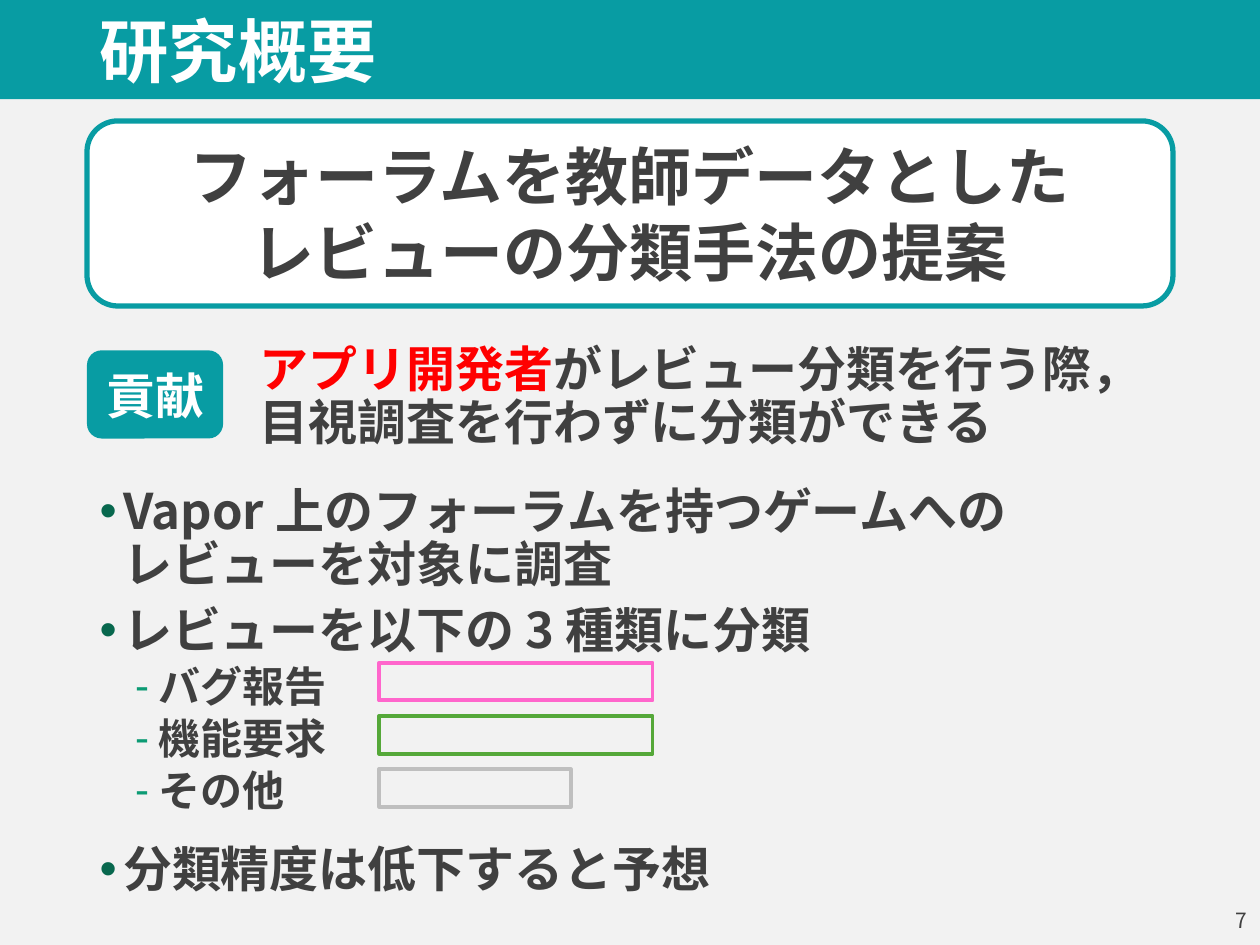
from lxml.etree import SubElement
from pptx import Presentation
from pptx.dml.color import RGBColor
from pptx.enum.shapes import MSO_SHAPE
from pptx.enum.text import MSO_ANCHOR, PP_ALIGN
from pptx.oxml.ns import qn
from pptx.util import Pt

TEAL = RGBColor(0x08, 0x9C, 0xA3)
WHITE = RGBColor(0xFF, 0xFF, 0xFF)
DARK = RGBColor(0x40, 0x40, 0x40)
RED = RGBColor(0xFF, 0x00, 0x00)
PINK = RGBColor(0xFF, 0x66, 0xCC)
GREEN = RGBColor(0x55, 0xA8, 0x39)
GRAY = RGBColor(0xBF, 0xBF, 0xBF)
BACKGROUND = RGBColor(0xF2, 0xF2, 0xF2)
FONT = "Noto Sans CJK JP"
LEFT, WIDTH = 49.7, 620.6


def add_text(paragraph, text, size, color=DARK, bold=True, name=FONT):
    """Add runs to the paragraph, with a line break at each newline."""
    for index, line in enumerate(text.split("\n")):
        if index:
            paragraph.add_line_break()
        run = paragraph.add_run()
        run.text = line
        for key, value in {"size": Pt(size), "bold": bold, "name": name}.items():
            setattr(run.font, key, value)
        run.font.color.rgb = color
        SubElement(run.font._element, qn("a:ea"), typeface=FONT)


def add_box(kind, left, top, width, height, fill=None, line=None, line_width=2.25):
    shape = slide.shapes.add_shape(kind, Pt(left), Pt(top), Pt(width), Pt(height))
    shape.shadow.inherit = False
    for part, color in ((shape.fill, fill), (shape.line.fill, line)):
        if color is None:
            part.background()
        else:
            part.solid()
            part.fore_color.rgb = color
    if line is not None:
        shape.line.width = Pt(line_width)
    shape.text_frame.vertical_anchor = MSO_ANCHOR.MIDDLE
    shape.text_frame.paragraphs[0].alignment = PP_ALIGN.CENTER
    return shape


presentation = Presentation()
presentation.slide_width, presentation.slide_height = Pt(720), Pt(540)
slide = presentation.slides.add_slide(presentation.slide_layouts[3])
slide.background.fill.solid()
slide.background.fill.fore_color.rgb = BACKGROUND

# Header band, behind the title
band = add_box(MSO_SHAPE.RECTANGLE, 0, 0, 720, 56.7, fill=TEAL)
slide.shapes._spTree.insert(2, band._element)

title, contribution, points = slide.placeholders
for shape, left, top, width, height, anchor in (
    (title, LEFT, 6.5, WIDTH, 50.4, MSO_ANCHOR.MIDDLE),
    (contribution, 141.1, 193.7, 529.2, 71.3, MSO_ANCHOR.TOP),
    (points, LEFT, 275, 646.6, 235.4, MSO_ANCHOR.TOP),
):
    shape.left, shape.top, shape.width, shape.height = map(Pt, (left, top, width, height))
    shape.text_frame.vertical_anchor = anchor
    shape.text_frame.word_wrap = True

heading = title.text_frame.paragraphs[0]
heading.alignment = PP_ALIGN.LEFT
heading.line_spacing = 0.9
add_text(heading, "研究概要", 39.6, WHITE, name="Arial")

# Proposal and its contribution
proposal = add_box(MSO_SHAPE.ROUNDED_RECTANGLE, LEFT, 69.1, WIDTH, 105.8, WHITE, TEAL, 3)
add_text(proposal.text_frame.paragraphs[0],
         "フォーラムを教師データとした\nレビューの分類手法の提案", 36)
label = add_box(MSO_SHAPE.ROUNDED_RECTANGLE, LEFT, 200.2, 77.8, 50.4, TEAL)
add_text(label.text_frame.paragraphs[0], "貢献", 28, WHITE)

paragraph = contribution.text_frame.paragraphs[0]
paragraph.line_spacing = 0.9
paragraph.space_before = Pt(0)
properties = paragraph._p.get_or_add_pPr()
properties.set("marL", "0")
properties.set("indent", "0")
SubElement(properties, qn("a:buNone"))
add_text(paragraph, "アプリ開発者", 28, RED)
add_text(paragraph, "がレビュー分類を行う際，\n目視調査を行わずに分類ができる", 28)

# Bulleted list: text, level, space before
LEVELS = (
    {"size": 28, "margin": 13.5, "bullet": "•", "color": "08684E"},
    {"size": 24, "margin": 33.8, "bullet": "-", "color": "0C9B74"},
)
items = (
    ("Vapor 上のフォーラムを持つゲームへの\nレビューを対象に調査", 0, 0),
    ("レビューを以下の 3 種類に分類", 0, 7.5),
    ("バグ報告", 1, 3.8),
    ("機能要求", 1, 3.8),
    ("その他", 1, 3.8),
    ("分類精度は低下すると予想", 0, 16.7),
)
frame = points.text_frame
for index, (text, level, space) in enumerate(items):
    style = LEVELS[level]
    paragraph = frame.add_paragraph() if index else frame.paragraphs[0]
    for key, value in {"level": level, "line_spacing": 0.9, "space_before": Pt(space)}.items():
        setattr(paragraph, key, value)
    properties = paragraph._p.get_or_add_pPr()
    properties.set("marL", str(Pt(style["margin"])))
    properties.set("indent", str(Pt(-13.5)))
    bullet_color = SubElement(properties, qn("a:buClr"))
    SubElement(bullet_color, qn("a:srgbClr"), val=style["color"])
    SubElement(properties, qn("a:buFont"), typeface="Arial")
    SubElement(properties, qn("a:buChar"), char=style["bullet"])
    add_text(paragraph, text, style["size"])

# Colour key beside the three review classes
for row, (color, width) in enumerate(((PINK, 156.2), (GREEN, 156.2), (GRAY, 109.4))):
    add_box(MSO_SHAPE.RECTANGLE, 216.7, 378.7 + 30.4 * row, width, 21.6, line=color)

number = slide.shapes.add_textbox(Pt(558), Pt(511.2), Pt(162), Pt(28.8))
number.text_frame.word_wrap = True
number.text_frame.vertical_anchor = MSO_ANCHOR.MIDDLE
number.text_frame.paragraphs[0].alignment = PP_ALIGN.RIGHT
add_text(number.text_frame.paragraphs[0], "7", 12, bold=False)

presentation.save("out.pptx")
